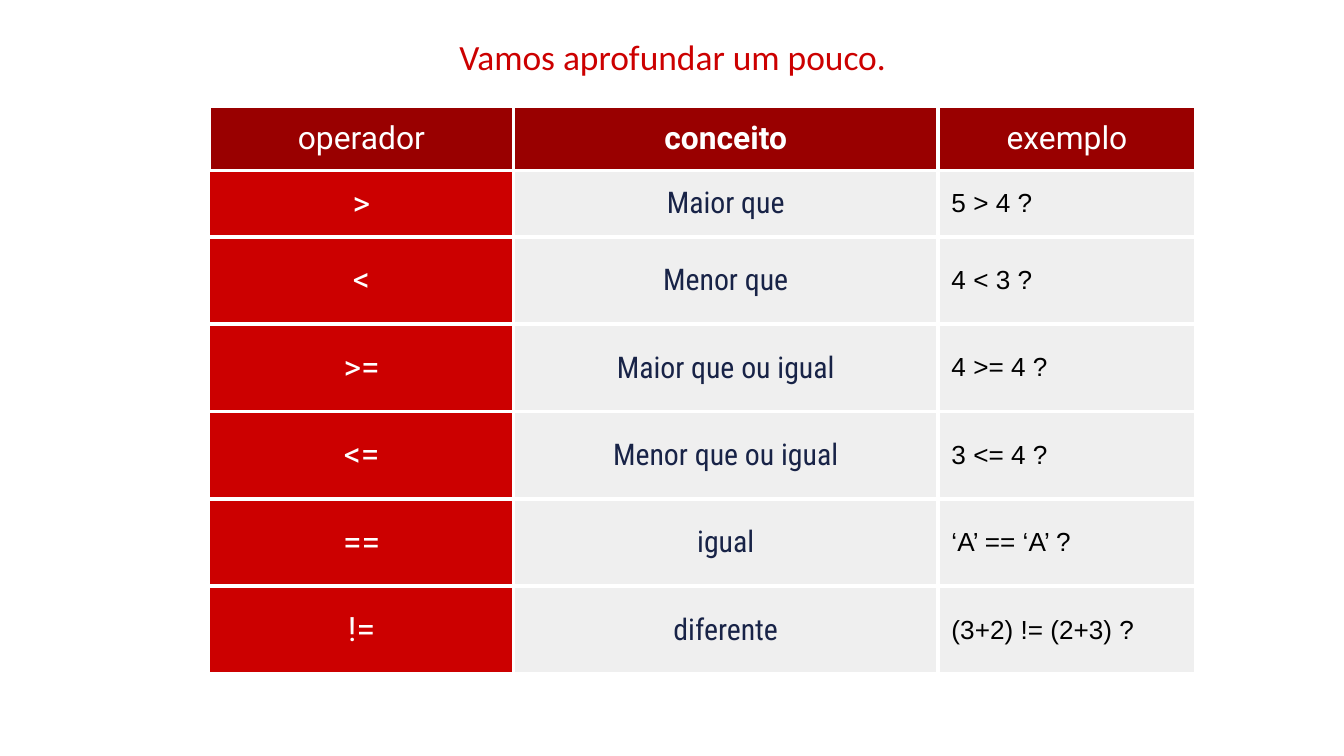
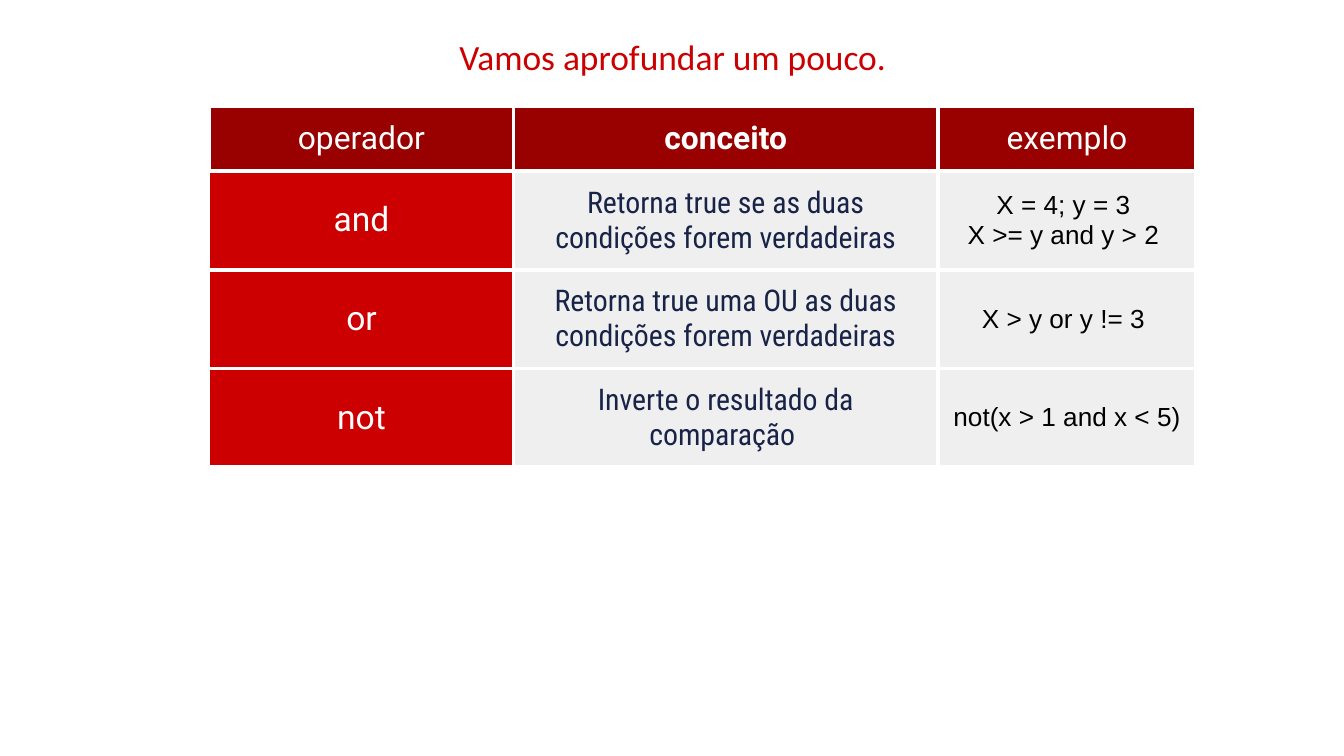
from lxml.etree import SubElement
from pptx import Presentation
from pptx.dml.color import RGBColor
from pptx.enum.text import MSO_ANCHOR, PP_ALIGN
from pptx.oxml.ns import qn
from pptx.util import Inches, Pt

RED, DARK_RED, WHITE = "CC0000", "990000", "FFFFFF"
GREY, NAVY, BLACK = "EFEFEF", "182347", "000000"
INSET = Inches(0.1)

TITLE = "Vamos aprofundar um pouco."
HEADINGS = ["operador", "conceito", "exemplo"]
COLUMN_WIDTHS = [2.26, 3.16, 1.92]
HEADING_HEIGHT, FIRST_HEIGHT, ROW_HEIGHT = 0.42, 0.44, 0.65
FRAME_SIDE = Inches(3.28)

# Font, size, text colour and fill of each body column
COLUMN_STYLES = [
    ("Roboto", 18, WHITE, RED),
    ("Roboto Condensed", 16, NAVY, GREY),
    ("Arial", 14, BLACK, GREY),
]

# Alignment of the examples and the body rows of each slide
TABLES = [
    (PP_ALIGN.LEFT, [
        (">", "Maior que", "5 > 4 ?"),
        ("<", "Menor que", "4 < 3 ?"),
        (">=", "Maior que ou igual", "4 >= 4 ?"),
        ("<=", "Menor que ou igual", "3 <= 4 ?"),
        ("==", "igual", "‘A’ == ‘A’ ?"),
        ("!=", "diferente", "(3+2) != (2+3) ?"),
    ]),
    (PP_ALIGN.CENTER, [
        ("and", "Retorna true se as duas condições forem verdadeiras",
         "X = 4; y = 3 \nX >= y and y > 2 "),
        ("or", "Retorna true uma OU as duas condições forem verdadeiras",
         "X > y or y != 3 "),
        ("not", "Inverte o resultado da comparação ", "not(x > 1 and x < 5)"),
    ]),
]


def color(value):
    return RGBColor.from_string(value)


def write(frame, text, font, size, ink, align, bold=False):
    for index, line in enumerate(text.split("\n")):
        para = frame.add_paragraph() if index else frame.paragraphs[0]
        para.alignment = align
        span = para.add_run()
        span.text = line
        span.font.name = font
        span.font.size = Pt(size)
        span.font.bold = bold
        span.font.color.rgb = color(ink)


# Widescreen deck, 16:9
deck = Presentation()
deck.slide_width, deck.slide_height = Inches(10), Inches(10 * 9 / 16)

for example_align, body in TABLES:
    page = deck.slides.add_slide(deck.slide_layouts[6])

    # Table grid
    heights = [HEADING_HEIGHT, FIRST_HEIGHT] + [ROW_HEIGHT] * (len(body) - 1)
    holder = page.shapes.add_table(
        len(heights), len(COLUMN_WIDTHS), Inches(1.56), Inches(0.79),
        FRAME_SIDE, FRAME_SIDE)
    table = holder.table
    table.horz_banding = table.first_row = False
    for column, width in zip(table.columns, COLUMN_WIDTHS):
        column.width = Inches(width)
    for row, height in zip(table.rows, heights):
        row.height = Inches(height)
    holder.width = holder.height = FRAME_SIDE

    # Cells
    for row_index, texts in enumerate([HEADINGS, *body]):
        for column_index, text in enumerate(texts):
            cell = table.cell(row_index, column_index)
            cell.vertical_anchor = MSO_ANCHOR.MIDDLE
            cell.margin_left = cell.margin_right = INSET
            cell.margin_top = cell.margin_bottom = INSET

            # White borders, open on the left of the operators
            properties = cell._tc.get_or_add_tcPr()
            for side in ("lnL", "lnR", "lnT", "lnB"):
                border = SubElement(properties, qn(f"a:{side}"), w=str(Pt(2.25)))
                if side == "lnL" and row_index and not column_index:
                    SubElement(border, qn("a:noFill"))
                else:
                    paint = SubElement(border, qn("a:solidFill"))
                    SubElement(paint, qn("a:srgbClr"), val=WHITE)

            font, size, ink, fill = COLUMN_STYLES[column_index]
            align = example_align if column_index == 2 else PP_ALIGN.CENTER
            if row_index == 0:
                font, size, ink, fill = "Roboto", 17, WHITE, DARK_RED
                align = PP_ALIGN.CENTER
            cell.fill.solid()
            cell.fill.fore_color.rgb = color(fill)
            write(cell.text_frame, text, font, size, ink, align,
                  bold=text == "conceito")

    # Title
    box = page.shapes.add_textbox(Inches(0.79), Inches(0.16), Inches(8.43), Inches(0.63))
    frame = box.text_frame
    frame.word_wrap = True
    frame.margin_left = frame.margin_right = INSET
    frame.margin_top = frame.margin_bottom = INSET
    write(frame, TITLE, "Calibri", 19, RED, PP_ALIGN.CENTER)

deck.save("out.pptx")
